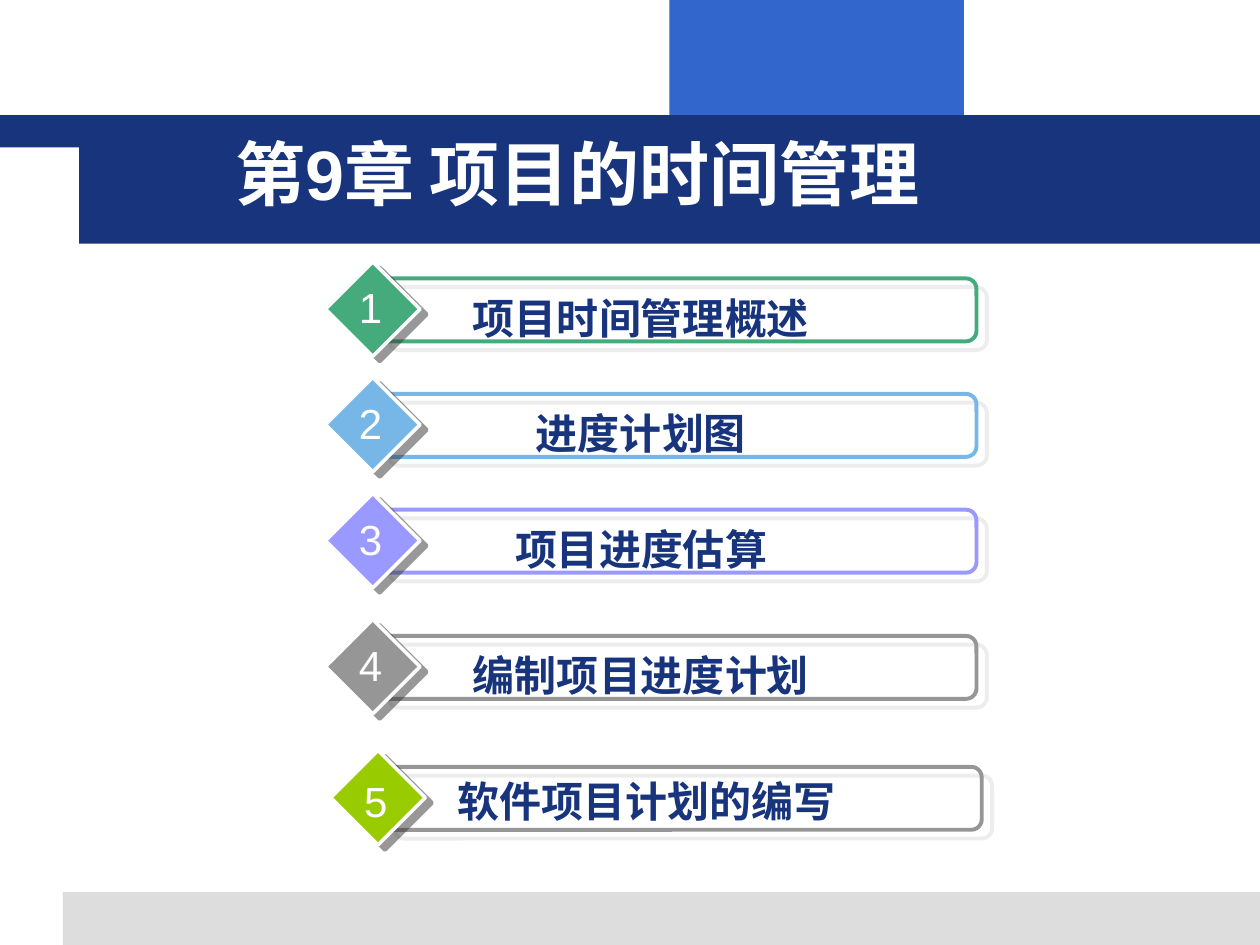
from dataclasses import dataclass

from lxml.etree import SubElement
from pptx import Presentation
from pptx.dml.color import RGBColor as Rgb
from pptx.enum.shapes import MSO_SHAPE as Kind
from pptx.enum.text import MSO_ANCHOR as Anchor, MSO_AUTO_SIZE as Fit, PP_ALIGN as Align
from pptx.oxml.ns import qn
from pptx.util import Pt


@dataclass(frozen=True)
class Theme:
    font: str = "Arial"
    navy: str = "17347D"
    blue: str = "3366CC"
    pale: str = "DDDDDD"
    dark: str = "333333"
    white: str = "FFFFFF"
    head: int = 40
    body: int = 24


THEME = Theme()
TITLE = "第9章 项目的时间管理 "

# left, top, width, height, colour
BANDS = [
    (382.5, 0, 168.3, 66, THEME.blue),
    (36, 509.8, 684, 30.2, THEME.pale),
    (0, 65.8, 720, 18.5, THEME.navy),
    (45.2, 65.8, 674.8, 73.5, THEME.navy),
]

# label, gem colour, bar colour, bar top, shift right, label drop, number drop
ITEMS = [
    ("项目时间管理概述 ", "45AB7D", "45AB7D", 159.1, 0, 4.3, -1.5),
    ("进度计划图 ", "77B7E7", "77B7E7", 225.1, 0, 4.3, -1.5),
    ("项目进度估算 ", "9999FF", "9999FF", 291.3, 0, 4.3, -1.5),
    ("编制项目进度计划 ", "969696", "969696", 363.4, 0, 4.3, -1.5),
    ("软件项目计划的编写 ", "99CC00", "969696", 438.2, 3, 1.6, 1.6),
]


def draw(slide, kind, box, fill=None, line=None, width=0):
    shape = slide.shapes.add_shape(kind, *map(Pt, box))
    shape.shadow.inherit = False
    if fill:
        shape.fill.solid()
        shape.fill.fore_color.rgb = Rgb.from_string(fill)
    else:
        shape.fill.background()
    if line:
        shape.line.color.rgb = Rgb.from_string(line)
        shape.line.width = Pt(width)
    else:
        shape.line.fill.background()
    return shape


def shade(shape, colour, dist, angle):
    """Add a half-transparent hard shadow, angle in degrees."""
    effects = shape._element.spPr.find(qn("a:effectLst"))
    outer = SubElement(effects, qn("a:outerShdw"), blurRad="0", dist=str(Pt(dist)),
                       dir=str(angle * 60000), algn="ctr", rotWithShape="0")
    tint = SubElement(outer, qn("a:srgbClr"), val=colour)
    SubElement(tint, qn("a:alpha"), val="50000")


def write(slide, box, text, size, colour, bold=True, wrap=True, align=Align.CENTER):
    frame = slide.shapes.add_textbox(*map(Pt, box)).text_frame
    frame.word_wrap = wrap
    frame.auto_size = Fit.SHAPE_TO_FIT_TEXT
    frame.vertical_anchor = Anchor.TOP
    para = frame.paragraphs[0]
    para.alignment = align
    run = para.add_run()
    run.text = text
    font = run.font
    font.name, font.size, font.bold = THEME.font, Pt(size), bold
    font.color.rgb = Rgb.from_string(colour)


def add_item(slide, num, item):
    label, gem, edge, top, shift, drop, sink = item
    bar = draw(slide, Kind.ROUNDED_RECTANGLE, (216 + shift, top, 342, 36),
               line=edge, width=2.25)
    bar.adjustments[0] = 0.167
    shade(bar, THEME.pale, 7.8, 40)
    mark = draw(slide, Kind.DIAMOND, (186 + shift, top - 9.4, 54, 54),
                gem, THEME.white, 2)
    shade(mark, THEME.dark, 5, 37)
    write(slide, (234 + shift, top + drop, 270, 36), label, THEME.body, THEME.navy)
    write(slide, (198 + shift, top + sink, 27.4, 36), str(num), THEME.body,
          THEME.white, bold=False, wrap=False)


def main():
    deck = Presentation()
    deck.slide_width, deck.slide_height = Pt(720), Pt(540)
    slide = deck.slides.add_slide(deck.slide_layouts[6])
    for *box, colour in BANDS:
        draw(slide, Kind.RECTANGLE, box, colour)
    write(slide, (127.4, 71.3, 510.5, 55.4), TITLE, THEME.head, THEME.white,
          align=Align.LEFT)
    for num, item in enumerate(ITEMS, 1):
        add_item(slide, num, item)
    deck.save("out.pptx")


if __name__ == "__main__":
    main()
